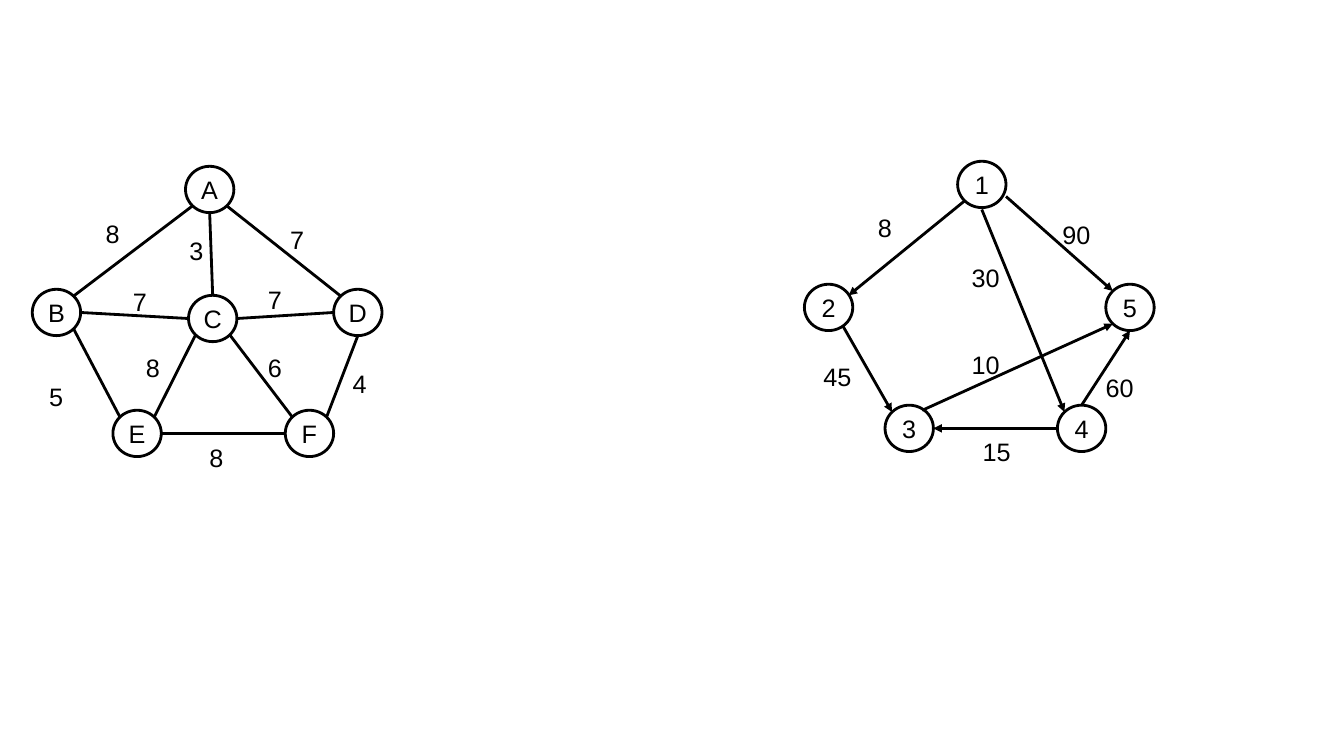
"""Build a slide with an undirected and a directed weighted graph."""
import pptx
import pptx.dml.color
import pptx.enum.shapes
import pptx.enum.text
import pptx.oxml
import pptx.oxml.ns
import pptx.util

COLORS = {"ink": "000000", "paper": "FFFFFF"}
CELL = pptx.util.Inches(0.1)
COLUMNS, ROWS = 133.33, 75
RADIUS_X, RADIUS_Y = 2.4, 2.3
LABEL_WIDTHS = {1: 3.4, 2: 5.2}
LABEL_HEIGHT = 4
SHIFT_X, SHIFT_Y = 76.6, -0.5

N, S, W, E = (0, -1), (0, 1), (-1, 0), (1, 0)
NW, NE, SW, SE = (-0.71, -0.71), (0.71, -0.71), (-0.71, 0.71), (0.71, 0.71)

nodes = {
    "A": (20.8, 18.8), "B": (5.6, 31), "D": (35.5, 31),
    "E": (13.6, 43), "F": (30.7, 43), "C": (21.1, 31.6),
}
for number, letter in zip("12534", "ABDEF"):
    column, row = nodes[letter]
    nodes[number] = (column + SHIFT_X, row + SHIFT_Y)

edges = [
    ("A", SE, "D", NW), ("A", SW, "B", NE), ("B", SE, "E", NW),
    ("E", E, "F", W), ("D", S, "F", NE), ("C", E, "D", W),
    ("B", E, "C", W), ("C", SW, "E", NE), ("C", SE, "F", NW),
    ("A", S, "C", N),
    ("3", (0.54, -0.78), "5", SW), ("1", (1, 0.52), "5", NW),
    ("1", (0, 1.08), "4", NW), ("4", W, "3", E),
    ("2", (0.58, 0.78), "3", NW), ("1", SW, "2", (0.83, -0.52)),
    ("4", N, "5", S),
]
weights = [
    ("8", 9.5, 21.2), ("7", 27.8, 21.8), ("7", 25.6, 27.7), ("7", 12.2, 27.9),
    ("3", 17.8, 22.9), ("5", 3.9, 37.3), ("8", 13.5, 34.5), ("8", 19.8, 43.4),
    ("6", 25.6, 34.5), ("4", 34, 36), ("8", 86.1, 20.6), ("90", 104.4, 21.3),
    ("45", 80.7, 35.4), ("15", 96.5, 42.8), ("60", 108.7, 36.4),
    ("30", 95.4, 25.5), ("10", 95.4, 34.2),
]


def grid(*counts):
    return [round(count * CELL) for count in counts]


def write(shape, text, frame_format, alignment):
    for name, value in frame_format.items():
        setattr(shape.text_frame, name, value)
    paragraph = shape.text_frame.paragraphs[0]
    paragraph.alignment = alignment
    run = paragraph.add_run()
    run.text = text
    for name, value in {"name": "Arial", "size": pptx.util.Pt(18)}.items():
        setattr(run.font, name, value)
    run.font.color.rgb = pptx.dml.color.RGBColor.from_string(COLORS["ink"])


presentation = pptx.Presentation()
presentation.slide_width, presentation.slide_height = grid(COLUMNS, ROWS)
slide = presentation.slides.add_slide(presentation.slide_layouts[6])
ink = pptx.dml.color.RGBColor.from_string(COLORS["ink"])

node_format = {"word_wrap": False,
               "vertical_anchor": pptx.enum.text.MSO_ANCHOR.MIDDLE}
for name, (column, row) in nodes.items():
    circle = slide.shapes.add_shape(
        pptx.enum.shapes.MSO_SHAPE.OVAL,
        *grid(column - RADIUS_X, row - RADIUS_Y, 2 * RADIUS_X, 2 * RADIUS_Y))
    circle.shadow.inherit = False
    circle.fill.solid()
    circle.fill.fore_color.rgb = pptx.dml.color.RGBColor.from_string(COLORS["paper"])
    circle.line.color.rgb = ink
    circle.line.width = pptx.util.Pt(2)
    write(circle, name, node_format, pptx.enum.text.PP_ALIGN.CENTER)

for start, start_side, end, end_side in edges:
    points = []
    for name, side in ((start, start_side), (end, end_side)):
        column, row = nodes[name]
        points += grid(column + side[0] * RADIUS_X, row + side[1] * RADIUS_Y)
    connector = slide.shapes.add_connector(
        pptx.enum.shapes.MSO_CONNECTOR.STRAIGHT, *points)
    connector.line.color.rgb = ink
    connector.line.width = pptx.util.Pt(2)
    properties = connector._element.spPr
    if start.isdigit():
        arrowhead = pptx.oxml.parse_xml(
            f'<a:tailEnd {pptx.oxml.ns.nsdecls("a")} type="triangle"/>')
        properties.find(pptx.oxml.ns.qn("a:ln")).append(arrowhead)
    properties.append(pptx.oxml.parse_xml(
        f'<a:effectLst {pptx.oxml.ns.nsdecls("a")}/>'))

label_format = {"word_wrap": True,
                "auto_size": pptx.enum.text.MSO_AUTO_SIZE.SHAPE_TO_FIT_TEXT}
for weight, column, row in weights:
    label = slide.shapes.add_textbox(
        *grid(column, row, LABEL_WIDTHS[len(weight)], LABEL_HEIGHT))
    write(label, weight, label_format, pptx.enum.text.PP_ALIGN.LEFT)

presentation.save("out.pptx")
